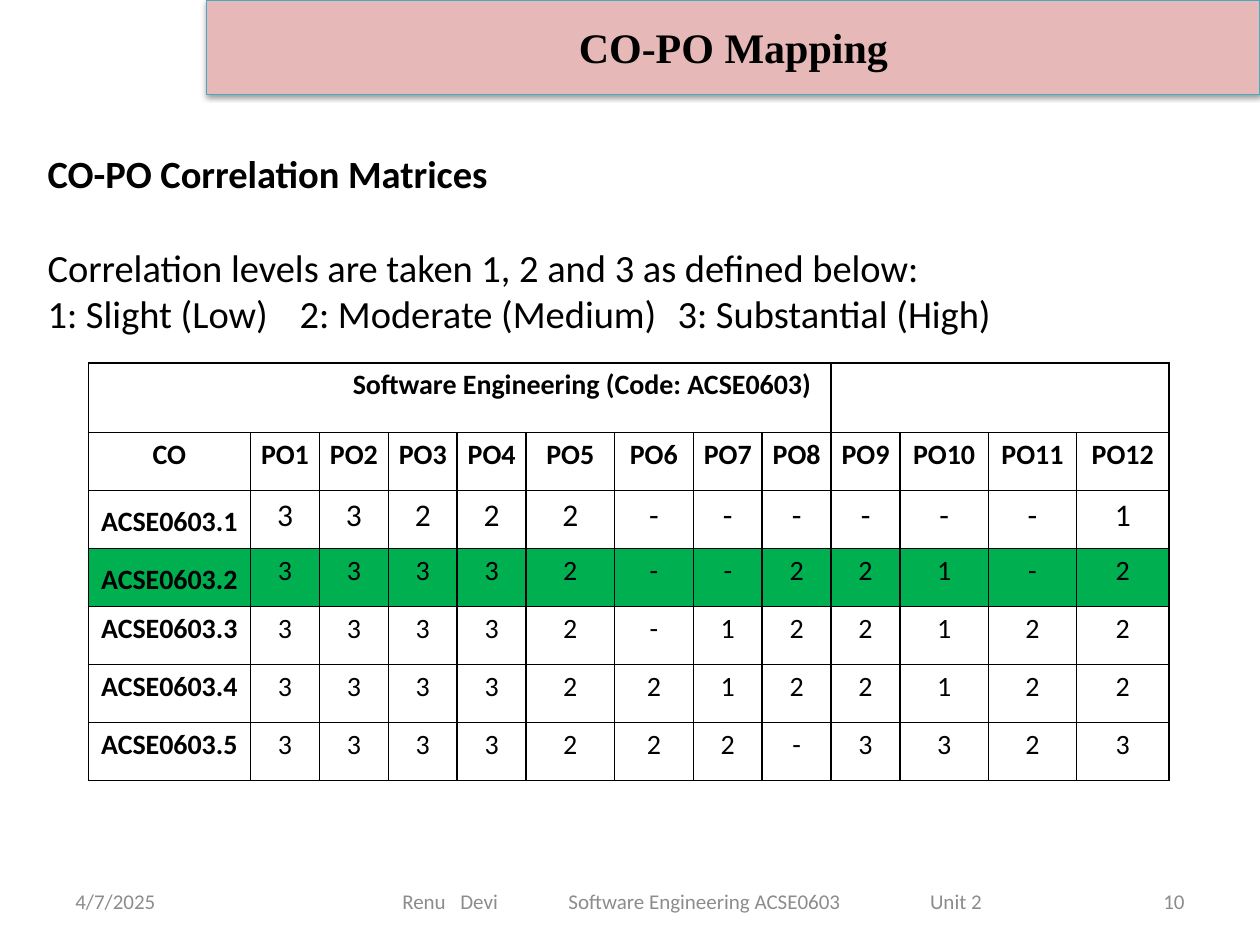
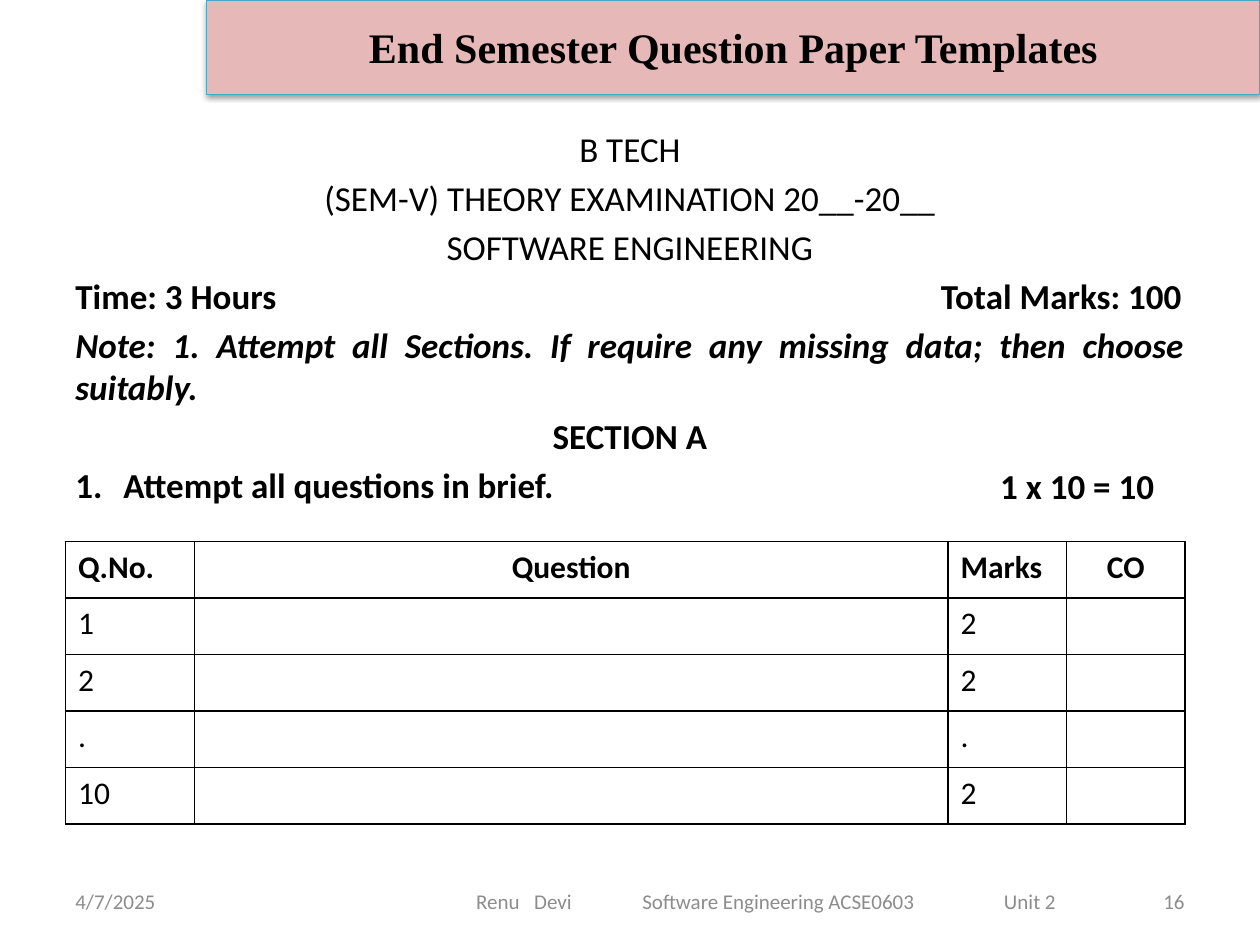
from lxml import etree
from pptx import Presentation
from pptx.dml.color import RGBColor
from pptx.enum.shapes import MSO_SHAPE
from pptx.enum.text import MSO_ANCHOR, PP_ALIGN
from pptx.oxml.ns import qn
from pptx.util import Cm, Pt

RECTANGLE = MSO_SHAPE.RECTANGLE
TOP, MIDDLE = MSO_ANCHOR.TOP, MSO_ANCHOR.MIDDLE
LEFT, CENTER, RIGHT, JUSTIFY = PP_ALIGN.LEFT, PP_ALIGN.CENTER, PP_ALIGN.RIGHT, PP_ALIGN.JUSTIFY

BLACK, WHITE, GREY = "000000", "FFFFFF", "8C8C8C"
PINK, TEAL, GREEN = "E6B9B8", "46AAC5", "00B050"
BODY_FONT, TITLE_FONT = "Calibri", "Times New Roman"
BANNER_BOX = (4.17, 0, 21.23, 1.9)
FOOTER_TOP, FOOTER_HEIGHT = 17.65, 1.02
FOOTER_TEXT = "Renu\tDevi\tSoftware Engineering ACSE0603\tUnit 2"
FOOTER_TABS = [(1.17, "l"), (3.35, "l"), (10.64, "l")]

LEVEL_LINES = [
    ("CO-PO Correlation Matrices", {"bold": True}, {}),
    ("Correlation levels are taken 1, 2 and 3 as defined below:", {}, {"space_before": Pt(27)}),
    ("1: Slight (Low)\t2: Moderate (Medium)\t3: Substantial (High)", {}, {}),
]
MATRIX_COLUMNS = [3.27] + [1.39] * 4 + [1.78, 1.59] + [1.39] * 3 + [1.78, 1.78, 1.86]
MATRIX_ROWS = [1.4] + [1.17] * 6
CORRELATIONS = ["33222-----" + "-1", "33332--221-2", "33332-122122", "333322122122"[:4] + "22122122", "3333222-3323"]
CURRENT_OUTCOME = 2

EXAM_LINES = [
    ("B TECH", {}, {"alignment": CENTER}),
    ("(SEM-V) THEORY EXAMINATION 20__-20__", {}, {"alignment": CENTER}),
    ("SOFTWARE ENGINEERING", {}, {"alignment": CENTER}),
    ("Time: 3 Hours\tTotal Marks: 100", {"bold": True}, {}),
    ("Note: 1. Attempt all Sections. If require any missing data; then choose suitably.",
     {"bold": True, "italic": True}, {"alignment": JUSTIFY}),
    ("SECTION A", {"bold": True}, {"alignment": CENTER}),
    ("Attempt all questions in brief.", {"bold": True}, {}),
]
QUESTION_COLUMNS = [2.6, 15.19, 2.39, 2.39]
QUESTION_ROWS = [1.14] * 5
QUESTIONS = [
    ("Q.No.", "Question", "Marks", "CO"),
    ("1", "", "2", ""),
    ("2", "", "2", ""),
    (".", "", ".", ""),
    ("10", "", "2", ""),
]


def color(hex_value):
    return RGBColor.from_string(hex_value)


def add_element(parent, tag, **attributes):
    return etree.SubElement(parent, qn(tag), {key: str(value) for key, value in attributes.items()})


def apply_formats(target, formats):
    for name, value in formats.items():
        setattr(target, name, value)


def write(paragraph, text, size, font_formats=None, paragraph_formats=None, font=BODY_FONT, ink=BLACK):
    run = paragraph.add_run()
    run.text = text
    apply_formats(run.font, {"size": Pt(size), "name": font, "bold": False, **(font_formats or {})})
    run.font.color.rgb = color(ink)
    apply_formats(paragraph, paragraph_formats or {})


def set_tabs(paragraph, stops):
    tabs = add_element(paragraph._p.get_or_add_pPr(), "a:tabLst")
    for position, alignment in stops:
        add_element(tabs, "a:tab", pos=Cm(position), algn=alignment)


def number_paragraph(paragraph, indent):
    properties = paragraph._p.get_or_add_pPr()
    properties.set("marL", str(Cm(indent)))
    properties.set("indent", str(-Cm(indent)))
    add_element(properties, "a:buFont", typeface="+mj-lt")
    add_element(properties, "a:buAutoNum", type="arabicPeriod")


def add_text(slide, box, lines, size, ink=BLACK, anchor=MIDDLE, inset=0.25):
    frame = slide.shapes.add_textbox(*map(Cm, box)).text_frame
    apply_formats(frame, {"word_wrap": True, "vertical_anchor": anchor, "margin_left": Cm(inset)})
    for index, (text, font_formats, paragraph_formats) in enumerate(lines):
        paragraph = frame.add_paragraph() if index else frame.paragraphs[0]
        write(paragraph, text, size, font_formats, paragraph_formats, ink=ink)
    return frame.paragraphs


def add_banner(slide, box, title):
    banner = slide.shapes.add_shape(RECTANGLE, *map(Cm, box))
    banner.fill.solid()
    banner.fill.fore_color.rgb = color(PINK)
    banner.line.color.rgb = color(TEAL)
    banner.line.width = Pt(0.75)
    effects = add_element(banner._element.spPr, "a:effectLst")
    shadow = add_element(effects, "a:outerShdw", blurRad=Pt(3.1), dist=Pt(1.6), dir=5400000, rotWithShape=0)
    add_element(add_element(shadow, "a:srgbClr", val=BLACK), "a:alpha", val=38000)
    banner.text_frame.vertical_anchor = MIDDLE
    write(banner.text_frame.paragraphs[0], title, 24, {"bold": True}, {"alignment": CENTER}, TITLE_FONT)


def add_footer(slide, number, left, width, inset):
    def part(part_left, part_width, text, alignment, part_inset=0.25):
        box = (part_left, FOOTER_TOP, part_width, FOOTER_HEIGHT)
        return add_text(slide, box, [(text, {}, {"alignment": alignment})], 12, GREY, inset=part_inset)[0]

    part(1.27, 5.93, "4/7/2025", LEFT)
    set_tabs(part(left, width, FOOTER_TEXT, LEFT, inset), FOOTER_TABS)
    part(18.2, 5.93, number, RIGHT)


def set_borders(cell):
    properties = cell._tc.get_or_add_tcPr()
    for index, side in enumerate(("a:lnL", "a:lnR", "a:lnT", "a:lnB")):
        line = etree.Element(qn(side), w=str(Pt(1)))
        add_element(add_element(line, "a:solidFill"), "a:srgbClr", val=BLACK)
        properties.insert(index, line)


def add_grid(slide, left, top, columns, rows):
    frame = slide.shapes.add_table(len(rows), len(columns), Cm(left), Cm(top), Cm(sum(columns)), Cm(sum(rows)))
    table = frame.table
    apply_formats(table, {"first_row": False, "horz_banding": False})
    for column, width in zip(table.columns, columns):
        column.width = Cm(width)
    for row, height in zip(table.rows, rows):
        row.height = Cm(height)
    for cell in table.iter_cells():
        cell.fill.solid()
        cell.fill.fore_color.rgb = color(WHITE)
        set_borders(cell)
    return table


def add_matrix(slide, left, top):
    table = add_grid(slide, left, top, MATRIX_COLUMNS, MATRIX_ROWS)
    margins = {"margin_left": Cm(0.18), "margin_right": Cm(0.18), "margin_top": 0, "margin_bottom": 0}
    spacing = {"alignment": CENTER, "line_spacing": 1.15, "space_after": Pt(10)}
    for cell in table.iter_cells():
        apply_formats(cell, margins)
    table.cell(0, 0).merge(table.cell(0, 8))
    table.cell(0, 9).merge(table.cell(0, 12))
    table.cell(0, 0).margin_right = Cm(0.4)
    write(table.cell(0, 0).text_frame.paragraphs[0], "Software Engineering (Code: ACSE0603)", 16,
          {"bold": True}, {**spacing, "alignment": RIGHT})

    rows = [["CO"] + [f"PO{number}" for number in range(1, 13)]]
    rows += [[f"ACSE0603.{number}", *levels] for number, levels in enumerate(CORRELATIONS, 1)]
    for outcome, values in enumerate(rows):
        for column, value in enumerate(values):
            cell = table.cell(outcome + 1, column)
            heading = outcome == 0 or column == 0
            size = 18 if outcome == 1 and not heading else 16
            write(cell.text_frame.paragraphs[0], value, size, {"bold": heading}, spacing)
            if outcome == CURRENT_OUTCOME:
                cell.fill.fore_color.rgb = color(GREEN)
            if column == 0 and outcome in (1, 2):
                cell.vertical_anchor = MIDDLE


def add_questions(slide, left, top):
    table = add_grid(slide, left, top, QUESTION_COLUMNS, QUESTION_ROWS)
    for row, values in enumerate(QUESTIONS):
        for column, value in enumerate(values):
            if value:
                alignment = CENTER if column in (1, 3) else LEFT
                write(table.cell(row, column).text_frame.paragraphs[0], value, 18,
                      {"bold": row == 0}, {"alignment": alignment})


def add_exam_heading(slide, left, top, width, height):
    paragraphs = add_text(slide, (left, top, width, height), EXAM_LINES, 20, anchor=TOP)
    for paragraph in paragraphs:
        paragraph.space_before = Pt(4)
    set_tabs(paragraphs[3], [(22.3, "r")])
    number_paragraph(paragraphs[-1], 0.97)
    marks = [("1 x 10 = 10", {"bold": True}, {"alignment": RIGHT})]
    add_text(slide, (left + width - 6.71, top + 6.8, 6.1, 1.1), marks, 20)


def add_slide(presentation, title, number, **footer):
    slide = presentation.slides.add_slide(presentation.slide_layouts[6])
    add_footer(slide, number, **footer)
    add_banner(slide, BANNER_BOX, title)
    return slide


def build_mapping_slide(presentation):
    slide = add_slide(presentation, "CO-PO Mapping", "10", left=6.99, width=13.97, inset=1.12)
    add_text(slide, (0.71, 2.9, 23.22, 4.01), LEVEL_LINES, 22)
    add_matrix(slide, 1.78, 7.32)


def build_template_slide(presentation):
    slide = add_slide(presentation, "End Semester Question Paper Templates", "16",
                      left=8.69, width=13.54, inset=0.91)
    add_exam_heading(slide, 1.27, 2.44, 22.86, 14.17)
    add_questions(slide, 1.32, 10.92)


def main():
    presentation = Presentation()
    presentation.slide_width, presentation.slide_height = Cm(25.4), Cm(19.05)
    build_mapping_slide(presentation)
    build_template_slide(presentation)
    presentation.save("out.pptx")


if __name__ == "__main__":
    main()
